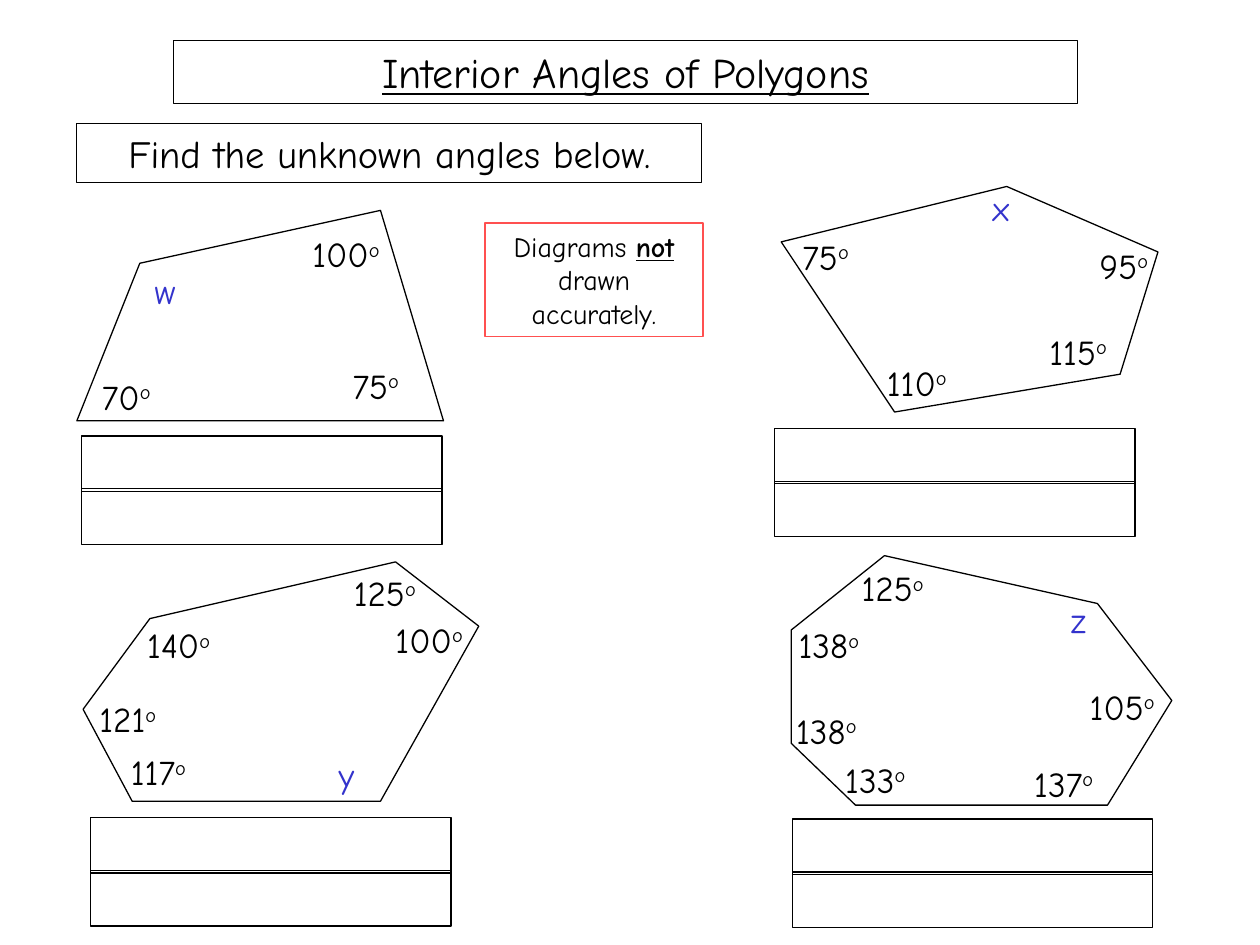
import pptx
import pptx.dml.color
import pptx.enum.shapes
import pptx.enum.text
import pptx.util

Inches = pptx.util.Inches
RGBColor = pptx.dml.color.RGBColor

BLACK = RGBColor(0x00, 0x00, 0x00)
BLUE = RGBColor(0x33, 0x33, 0xCC)
RED = RGBColor(0xFF, 0x50, 0x50)
FONT = "Comic Neue"

ANSWER_WIDTH, ANSWER_HEIGHT, ANSWER_STEP = 2.86, 0.44, 0.42
LETTER_WIDTH, ANGLE_WIDTH, LABEL_HEIGHT = 0.54, 0.92, 0.44

# Each question: its origin, then corners, labels (text, x, y, optional width)
# and answer box, all measured from that origin
QUESTIONS = [
    {
        "origin": (0.61, 1.67),
        "corners": [(0, 1.67), (2.91, 1.67), (2.41, 0), (0.5, 0.42)],
        "labels": [("75", 2.09, 1.17, 0.73), ("100", 1.77, 0.13),
                   ("70", 0.1, 1.26), ("w", 0.52, 0.42)],
        "answer": (0.04, 1.79),
    },
    {
        "origin": (6.2, 1.48),
        "corners": [(0.9, 1.79), (2.69, 1.49), (2.99, 0.52), (1.79, 0),
                    (0, 0.44)],
        "labels": [("x", 1.58, -0.05), ("115", 2.03, 1.09),
                   ("110", 0.74, 1.34), ("75", 0.07, 0.34),
                   ("95", 2.43, 0.41, 0.7)],
        "answer": (-0.05, 1.92),
    },
    {
        "origin": (0.66, 4.46),
        "corners": [(0.39, 1.9), (2.36, 1.9), (3.14, 0.51), (2.48, 0),
                    (0.53, 0.45), (0, 1.17)],
        "labels": [("y", 1.93, 1.47), ("117", 0.28, 1.45),
                   ("121", 0.03, 1.03), ("100", 2.38, 0.4),
                   ("125", 2.05, 0.03), ("140", 0.41, 0.44)],
        "answer": (0.06, 2.03),
    },
    {
        "origin": (6.28, 4.41),
        "corners": [(0.51, 1.98), (2.51, 1.98), (3.02, 1.15), (2.43, 0.38),
                    (0.74, 0), (0, 0.59), (0, 1.49)],
        "labels": [("z", 2.12, 0.29), ("133", 0.33, 1.56),
                   ("137", 1.83, 1.59), ("138", -0.06, 1.17),
                   ("138", -0.04, 0.49), ("125", 0.46, 0.04),
                   ("105", 2.27, 0.98)],
        "answer": (0.01, 2.09),
    },
]


def set_outline(shape, colour=BLACK):
    shape.shadow.inherit = False
    shape.fill.background()
    shape.line.color.rgb = colour
    shape.line.width = pptx.util.Pt(0.75)


def add_frame(slide, left, top, width, height, colour=BLACK):
    frame = slide.shapes.add_shape(
        pptx.enum.shapes.MSO_SHAPE.RECTANGLE,
        Inches(left), Inches(top), Inches(width), Inches(height))
    set_outline(frame, colour)
    return frame


def write(shape, runs, size, colour=BLACK, align=pptx.enum.text.PP_ALIGN.LEFT):
    """Fill a shape with one paragraph of (text, font format) runs."""
    frame_format = {
        "word_wrap": True,
        "auto_size": pptx.enum.text.MSO_AUTO_SIZE.SHAPE_TO_FIT_TEXT,
        "vertical_anchor": pptx.enum.text.MSO_ANCHOR.TOP,
    }
    for name, value in frame_format.items():
        setattr(shape.text_frame, name, value)
    paragraph = shape.text_frame.paragraphs[0]
    paragraph.alignment = align
    for text, extra in runs:
        run = paragraph.add_run()
        run.text = text
        font_format = {"name": FONT, "size": pptx.util.Pt(size), **extra}
        for name, value in font_format.items():
            setattr(run.font, name, value)
        run.font.color.rgb = colour
    return paragraph


def add_text_frame(slide, box, runs, size, line_colour=BLACK):
    """Outlined box with centred text."""
    write(add_frame(slide, *box, line_colour), runs, size,
          align=pptx.enum.text.PP_ALIGN.CENTER)


def add_label(slide, text, left, top, width=None):
    """Blue letter for an unknown angle, or a black number of degrees."""
    unknown = text.isalpha()
    width = width or (LETTER_WIDTH if unknown else ANGLE_WIDTH)
    label = slide.shapes.add_textbox(
        Inches(left), Inches(top), Inches(width), Inches(LABEL_HEIGHT))
    if unknown:
        write(label, [(text, {})], 20, BLUE)
    else:
        angle = write(label, [(text, {}), ("o", {})], 20)
        angle.runs[-1]._r.get_or_add_rPr().set("baseline", "30000")


def add_question(slide, origin, corners, labels, answer):
    left, top = origin

    # Polygon
    points = [(Inches(left + x), Inches(top + y)) for x, y in corners]
    outline = slide.shapes.build_freeform(*points[0])
    outline.add_line_segments(points[1:], close=True)
    set_outline(outline.convert_to_shape())

    # Angles
    for text, x, y, *width in labels:
        add_label(slide, text, left + x, top + y, *width)

    # Two answer rows
    for row in range(2):
        add_frame(slide, left + answer[0],
                  top + answer[1] + row * ANSWER_STEP,
                  ANSWER_WIDTH, ANSWER_HEIGHT)


def main():
    deck = pptx.Presentation()
    deck.slide_width, deck.slide_height = Inches(10), Inches(7.5)
    slide = deck.slides.add_slide(deck.slide_layouts[6])

    # Title, instruction and note
    add_text_frame(slide, (1.38, 0.32, 7.17, 0.5),
                   [("Interior Angles of Polygons", {"underline": True})], 24)
    add_text_frame(slide, (0.61, 0.98, 4.96, 0.47),
                   [("Find the unknown angles below.", {})], 22)
    add_text_frame(slide, (3.85, 1.77, 1.73, 0.9),
                   [("Diagrams ", {}),
                    ("not ", {"bold": True, "underline": True}),
                    ("drawn accurately.", {})], 16, RED)

    for question in QUESTIONS:
        add_question(slide, **question)

    deck.save("out.pptx")


if __name__ == "__main__":
    main()
